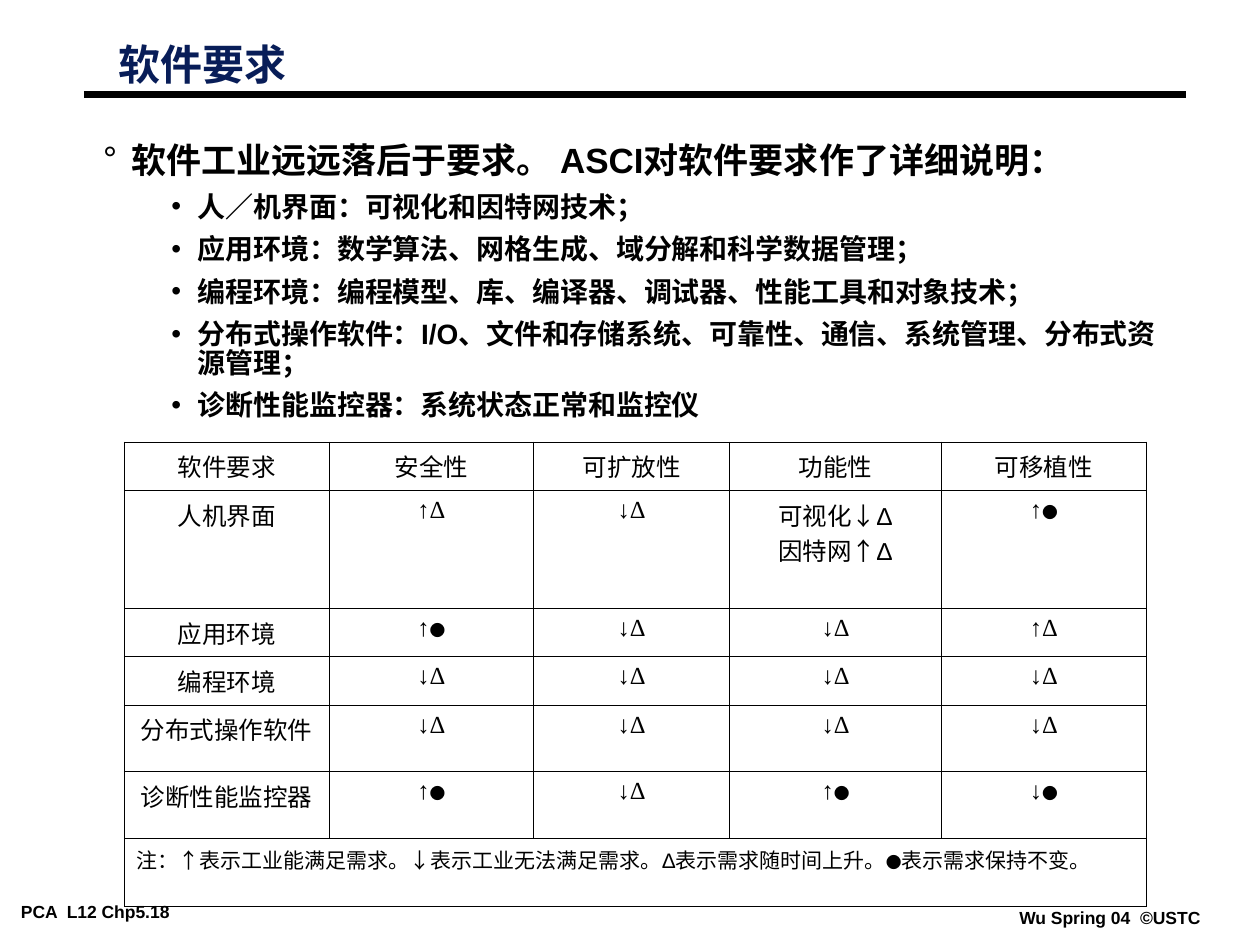
from lxml import etree
from pptx import Presentation
from pptx.dml.color import RGBColor
from pptx.enum.shapes import MSO_CONNECTOR
from pptx.enum.text import MSO_ANCHOR, MSO_AUTO_SIZE, PP_ALIGN
from pptx.oxml.ns import qn
from pptx.util import Pt

STRAIGHT = MSO_CONNECTOR.STRAIGHT
TOP = MSO_ANCHOR.TOP
NO_AUTOFIT = MSO_AUTO_SIZE.NONE
LEFT, CENTER = PP_ALIGN.LEFT, PP_ALIGN.CENTER

SANS, SERIF, CHINESE = "Arial", "Times New Roman", "Noto Sans CJK SC"
BLACK, NAVY = "000000", "081D58"
DOT = "●"

REQUIREMENTS = [
    "人／机界面：可视化和因特网技术；",
    "应用环境：数学算法、网格生成、域分解和科学数据管理；",
    "编程环境：编程模型、库、编译器、调试器、性能工具和对象技术；",
    "分布式操作软件：I/O、文件和存储系统、可靠性、通信、系统管理、分布式资源管理；",
    "诊断性能监控器：系统状态正常和监控仪",
]
INTERFACE_FUNCTIONS = [
    [("可视化", SERIF), ("↓Δ", SANS)],
    [("因特网", SERIF), ("↑Δ", SANS)],
]
RATINGS = [
    ["软件要求", "安全性", "可扩放性", "功能性", "可移植性"],
    ["人机界面", "↑Δ", "↓Δ", INTERFACE_FUNCTIONS, "↑●"],
    ["应用环境", "↑●", "↓Δ", "↓Δ", "↑Δ"],
    ["编程环境", "↓Δ", "↓Δ", "↓Δ", "↓Δ"],
    ["分布式操作软件", "↓Δ", "↓Δ", "↓Δ", "↓Δ"],
    ["诊断性能监控器", "↑●", "↓Δ", "↑●", "↓●"],
]
LEGEND = [[
    ("注：", SERIF),
    ("↑表示工业能满足需求。↓表示工业无法满足需求。Δ表示需求随时间上升。", SANS),
    (DOT, CHINESE),
    ("表示需求保持不变。", SANS),
]]
COLUMN_WIDTHS = [117, 117, 112, 121, 117]
ROW_HEIGHTS = [26, 67.5, 26, 26, 38, 38, 39]


def color(hex_string):
    return RGBColor.from_string(hex_string)


def add_run(paragraph, text, font=SANS, size=14, bold=False, fill=BLACK):
    run = paragraph.add_run()
    run.text = text
    run.font.name = font
    run.font.size = Pt(size)
    run.font.bold = bold
    run.font.color.rgb = color(fill)
    east_asian = etree.SubElement(run.font._element, qn("a:ea"))
    east_asian.set("typeface", CHINESE)


def add_bullet(paragraph, character, margin, hanging):
    properties = paragraph._p.get_or_add_pPr()
    properties.set("marL", str(Pt(margin)))
    properties.set("indent", str(-Pt(hanging)))
    bullet_color = etree.SubElement(properties, qn("a:buClr"))
    etree.SubElement(bullet_color, qn("a:srgbClr")).set("val", BLACK)
    etree.SubElement(properties, qn("a:buFont")).set("typeface", SANS)
    etree.SubElement(properties, qn("a:buChar")).set("char", character)


def add_borders(cell, width):
    properties = cell._tc.get_or_add_tcPr()
    for position, side in enumerate(("a:lnL", "a:lnR", "a:lnT", "a:lnB")):
        border = etree.Element(qn(side), w=str(Pt(width)))
        fill = etree.SubElement(border, qn("a:solidFill"))
        etree.SubElement(fill, qn("a:srgbClr")).set("val", BLACK)
        properties.insert(position, border)


class SlideBuilder:
    def __init__(self, slide):
        self.slide = slide

    def set_frame(self, shape, wrap=True):
        frame = shape.text_frame
        frame.word_wrap = wrap
        frame.auto_size = NO_AUTOFIT
        frame.vertical_anchor = TOP
        frame.margin_left = frame.margin_right = Pt(5)
        frame.margin_top = frame.margin_bottom = Pt(2)
        return frame

    def place(self, shape, left, top, width, height):
        shape.left, shape.top = Pt(left), Pt(top)
        shape.width, shape.height = Pt(width), Pt(height)

    def add_footer(self, text, left, top, width):
        box = self.slide.shapes.add_textbox(Pt(left), Pt(top), Pt(width), Pt(16))
        frame = self.set_frame(box, wrap=False)
        add_run(frame.paragraphs[0], text, size=10, bold=True)

    def add_rule(self, left, right, top):
        line = self.slide.shapes.add_connector(
            STRAIGHT, Pt(left), Pt(top), Pt(right), Pt(top))
        line.line.width = Pt(4.5)
        line.line.color.rgb = color(BLACK)
        etree.SubElement(line._element.spPr, qn("a:effectLst"))

    def add_title(self, text):
        title = self.slide.shapes.title
        self.place(title, 62.5, 24, 195, 29)
        paragraph = self.set_frame(title).paragraphs[0]
        paragraph.alignment = LEFT
        paragraph.line_spacing = 0.87
        add_run(paragraph, text, size=24, bold=True, fill=NAVY)

    def add_list(self, heading, items):
        body = self.slide.placeholders[1]
        self.place(body, 54, 83, 623.5, 160)
        frame = self.set_frame(body)
        paragraph = frame.paragraphs[0]
        add_bullet(paragraph, "°", 16, 16)
        paragraph.line_spacing = 0.75
        paragraph.space_before = Pt(0)
        add_run(paragraph, heading, size=20, bold=True)
        for item in items:
            paragraph = frame.add_paragraph()
            paragraph.level = 1
            add_bullet(paragraph, "•", 54, 15)
            paragraph.line_spacing = 0.85
            paragraph.space_before = Pt(8)
            add_run(paragraph, item, size=16, bold=True)

    def fill_cell(self, cell, content, size=14, alignment=CENTER):
        if isinstance(content, str):
            runs = [(content.replace(DOT, ""), SERIF)]
            if DOT in content:
                runs.append((DOT, CHINESE))
            content = [runs]
        frame = cell.text_frame
        for index, runs in enumerate(content):
            paragraph = frame.add_paragraph() if index else frame.paragraphs[0]
            paragraph.alignment = alignment
            for text, font in runs:
                add_run(paragraph, text, font, 9 if text == DOT else size)

    def add_ratings(self, rows, legend):
        table = self.slide.shapes.add_table(
            len(ROW_HEIGHTS), len(COLUMN_WIDTHS), Pt(71), Pt(252.5),
            Pt(sum(COLUMN_WIDTHS)), Pt(sum(ROW_HEIGHTS))).table
        table.first_row = table.horz_banding = False
        for column, width in zip(table.columns, COLUMN_WIDTHS):
            column.width = Pt(width)
        for row, height in zip(table.rows, ROW_HEIGHTS):
            row.height = Pt(height)
        for cell in table.iter_cells():
            cell.fill.background()
            add_borders(cell, 0.45)
        for row, contents in zip(table.rows, rows):
            for cell, content in zip(row.cells, contents):
                self.fill_cell(cell, content)
        last = len(ROW_HEIGHTS) - 1
        table.cell(last, 0).merge(table.cell(last, len(COLUMN_WIDTHS) - 1))
        self.fill_cell(table.cell(last, 0), legend, size=12, alignment=LEFT)


def main():
    presentation = Presentation()
    presentation.slide_width, presentation.slide_height = Pt(720), Pt(540)
    slide = presentation.slides.add_slide(presentation.slide_layouts[1])
    builder = SlideBuilder(slide)
    builder.add_footer("PCA  L12 Chp5.18", 7, 513, 132.5)
    builder.add_footer("Wu Spring 04  ©USTC", 577.5, 516.5, 114)
    builder.add_rule(48, 678, 54)
    builder.add_title("软件要求")
    builder.add_list("软件工业远远落后于要求。 ASCI对软件要求作了详细说明：", REQUIREMENTS)
    builder.add_ratings(RATINGS, LEGEND)
    presentation.save("out.pptx")


if __name__ == "__main__":
    main()
